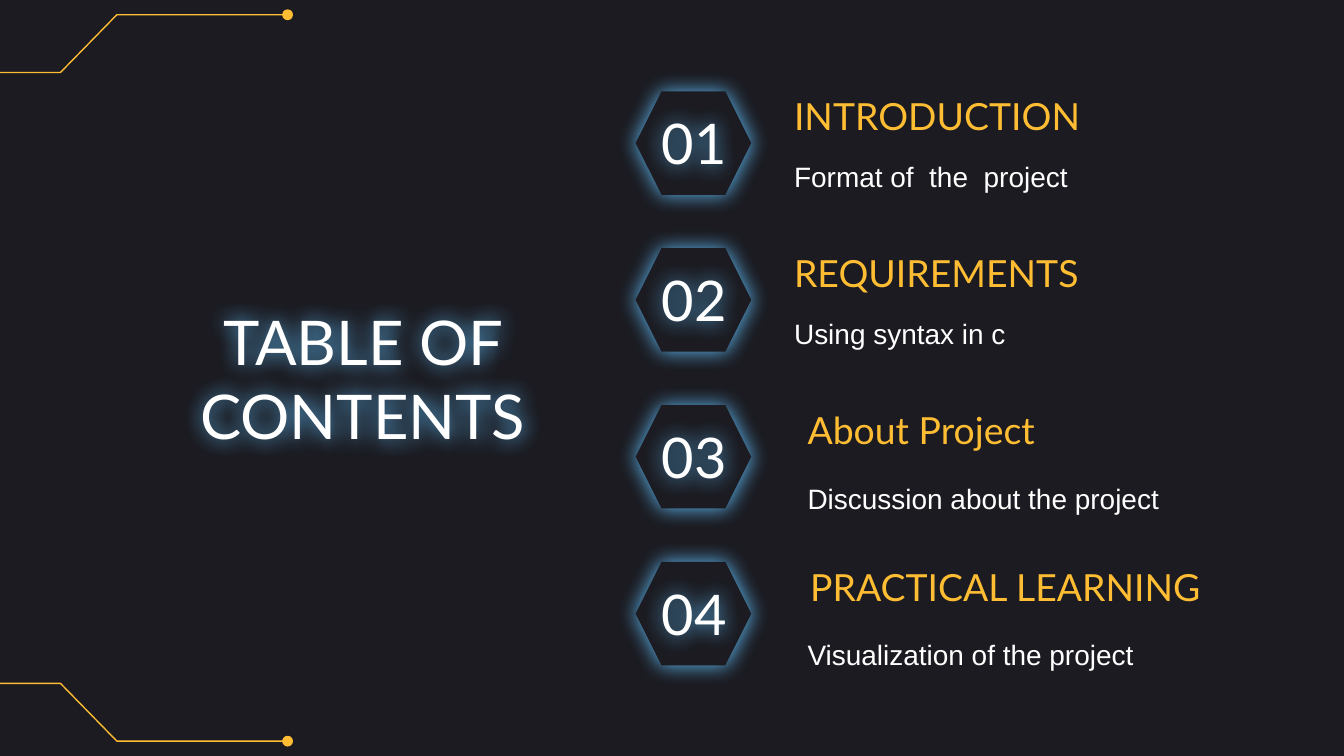
from lxml import etree
from pptx import Presentation, util as u
from pptx.dml.color import RGBColor
from pptx.enum import shapes, text
from pptx.oxml.ns import qn

WIDE, HIGH = 10, 5.625
DARK, GOLD, WHITE, BLUE = "1B1B21", "FFBD33", "FFFFFF", "60BBF5"
TOP, STEP = 0.68, 1.167
HEX_X, HEX_W, HEX_H = 4.73, 0.86, 0.77
ROWS = [
    # heading, its left, detail, its left, detail's drop, first-line indent
    ("INTRODUCTION", 5.81, "Format of  the  project", 5.81, 0.37, 0),
    ("REQUIREMENTS", 5.81, "Using syntax in c", 5.81, 0.37, 0),
    ("About Project", 5.91, "Discussion about the project", 5.91, 0.43, 0),
    ("PRACTICAL LEARNING", 5.81, "Visualization of the project", 5.91, 0.43, 0.12),
]
HEAD = dict(size=u.Pt(20), name="Lato", color=GOLD)
BODY = dict(size=u.Pt(15), name="Arial", color=WHITE)
NUM = dict(size=u.Pt(30), name="Lato", color=WHITE)
TITLE = dict(NUM, size=u.Pt(33))


def glow(shape):
    """Add a blue blurred shadow with no offset; unfilled boxes cast it from their text."""
    props = shape._element.spPr
    for old in props.findall(qn("a:effectLst")):
        props.remove(old)
    fx = etree.SubElement(props, qn("a:effectLst"))
    halo = etree.SubElement(fx, qn("a:outerShdw"), blurRad=str(u.Pt(11.2)),
                            dist="0", dir="0", algn="ctr", rotWithShape="0")
    etree.SubElement(halo, qn("a:srgbClr"), val=BLUE)


def write(box, words, form, align=text.PP_ALIGN.LEFT):
    frame = box.text_frame
    frame.text = words
    opts = dict(word_wrap=True, auto_size=text.MSO_AUTO_SIZE.NONE,
                vertical_anchor=text.MSO_ANCHOR.MIDDLE)
    opts.update({"margin_" + side: u.Inches(0.1)
                 for side in ("left", "right", "top", "bottom")})
    for key, val in opts.items():
        setattr(frame, key, val)
    para = frame.paragraphs[0]
    para.alignment, para.line_spacing = align, 1.0
    font = para.runs[0].font
    for key, val in form.items():
        if key == "color":
            font.color.rgb = RGBColor.from_string(val)
        else:
            setattr(font, key, val)
    return para


prs = Presentation()
prs.slide_width, prs.slide_height = u.Inches(WIDE), u.Inches(HIGH)
slide = prs.slides.add_slide(prs.slide_layouts[5])
slide.background.fill.solid()
slide.background.fill.fore_color.rgb = RGBColor.from_string(DARK)
items = slide.shapes

# Circuit lines, mirrored at the top and bottom edges
for flip in (True, False):
    trace = [(u.Inches(x), u.Inches(y if flip else HIGH - y))
             for x, y in [(-0.14, 0.54), (0.45, 0.54), (0.87, 0.11), (2.14, 0.11)]]
    pen = items.build_freeform(*trace[0])
    pen.add_line_segments(trace[1:], close=False)
    wire = pen.convert_to_shape()
    wire.fill.background()
    size = u.Inches(0.07)
    end_x, end_y = trace[-1]
    dot = items.add_shape(shapes.MSO_SHAPE.OVAL, end_x - size // 2,
                          end_y - size // 2, size, size)
    dot.fill.solid()
    dot.fill.fore_color.rgb = RGBColor.from_string(GOLD)
    for part in (wire, dot):
        part.shadow.inherit = False
        part.line.color.rgb = RGBColor.from_string(GOLD)
        part.line.width = u.Pt(0.75)

# Numbered rows
for i, (head, head_x, body, body_x, drop, indent) in enumerate(ROWS):
    y = TOP + i * STEP
    cell = items.add_shape(shapes.MSO_SHAPE.HEXAGON, u.Inches(HEX_X), u.Inches(y),
                           u.Inches(HEX_W), u.Inches(HEX_H))
    cell.adjustments[0] = 0.25
    cell.fill.solid()
    cell.fill.fore_color.rgb = RGBColor.from_string(DARK)
    cell.line.fill.background()
    glow(cell)

    num = items.add_textbox(u.Inches(HEX_X + 0.05), u.Inches(y + 0.07),
                            u.Inches(0.77), u.Inches(0.62))
    write(num, f"{i + 1:02}", NUM, text.PP_ALIGN.CENTER)
    glow(num)

    label = items.add_textbox(u.Inches(head_x), u.Inches(y), u.Inches(3.51), u.Inches(0.36))
    para = write(label, head, HEAD)
    if indent:
        para._p.get_or_add_pPr().set("indent", str(u.Inches(indent)))
    note = items.add_textbox(u.Inches(body_x), u.Inches(y + drop),
                             u.Inches(3.51), u.Inches(0.52))
    write(note, body, BODY)

title = items.title
for key, val in dict(left=1.23, top=2.11, width=2.94, height=1.4).items():
    setattr(title, key, u.Inches(val))
write(title, "TABLE OF CONTENTS", TITLE, text.PP_ALIGN.CENTER)
glow(title)

prs.save("out.pptx")
